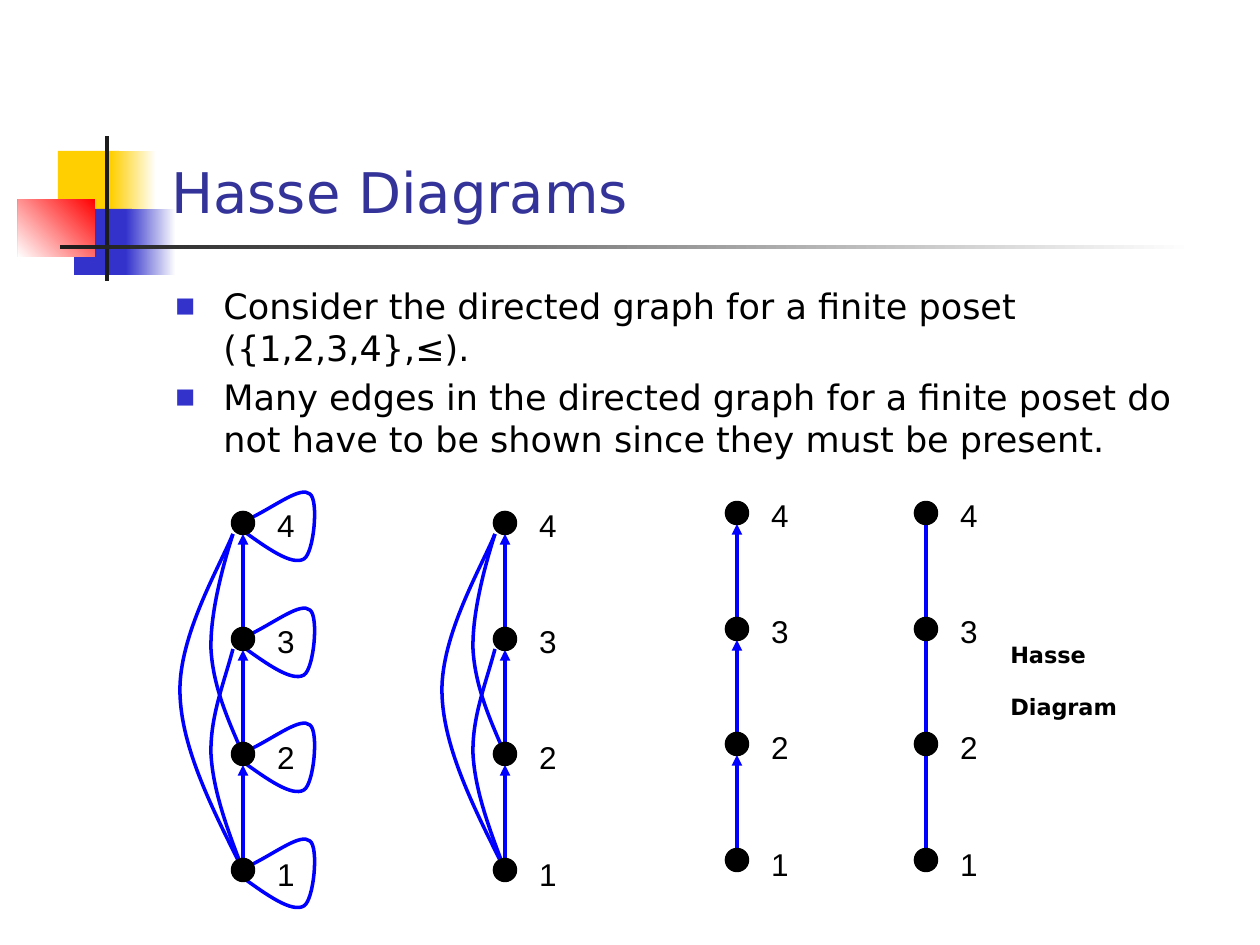
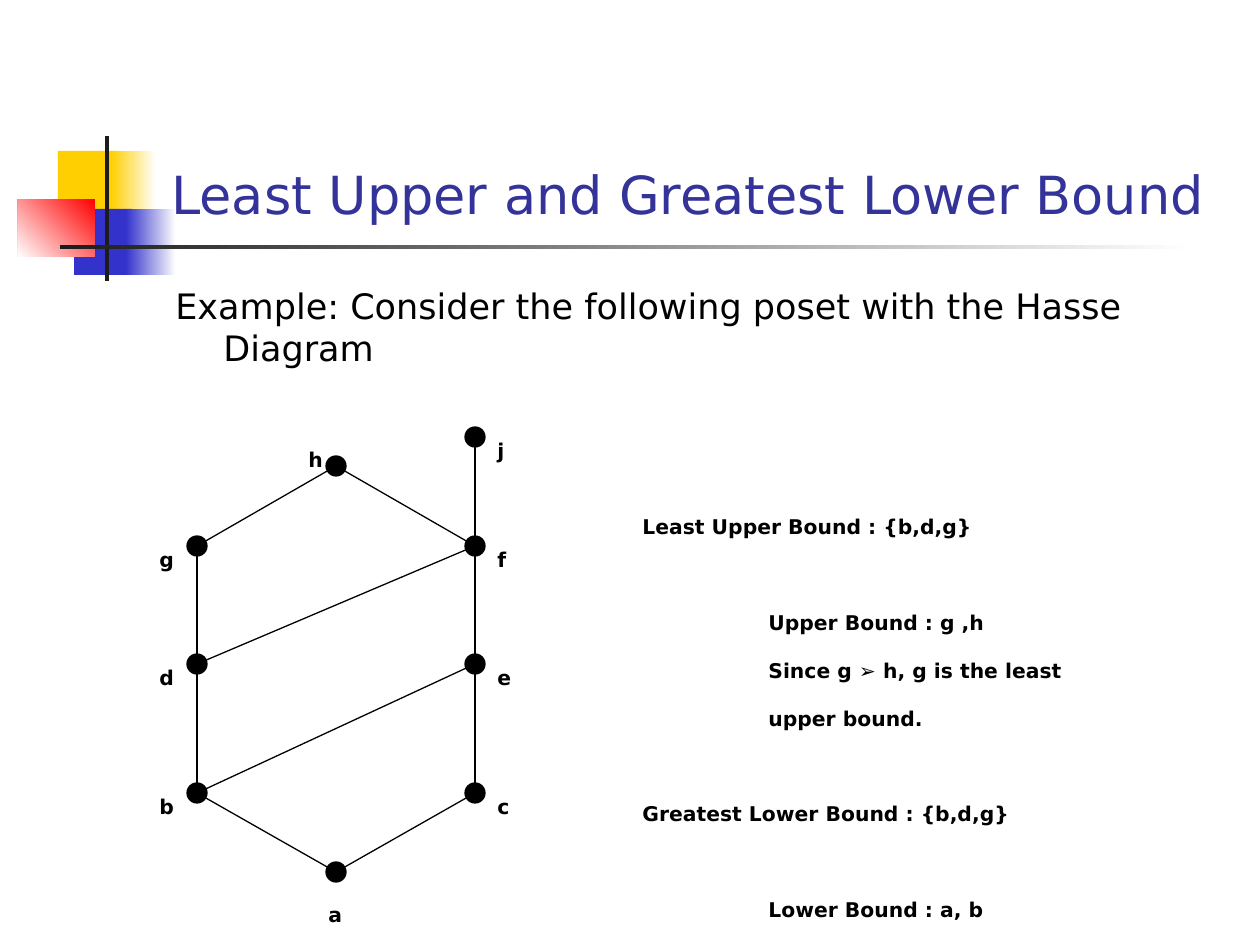
from lxml.etree import SubElement
from pptx import Presentation
from pptx.dml.color import RGBColor
from pptx.enum.shapes import MSO_CONNECTOR, MSO_SHAPE
from pptx.enum.text import MSO_ANCHOR, PP_ALIGN
from pptx.oxml.ns import qn
from pptx.util import Pt

SCALE = 914400 / 126
COLORS = {
    "white": "FFFFFF", "black": "000000", "gold": "FFCF01", "blue": "3333CC",
    "red": "FF0000", "dark": "1C1C1C", "title": "333399", "edge": "0000FF",
}
SANS, ARIAL = "DejaVu Sans", "Arial"
BANDS = [
    ((58, 151, 61, 66), "gold", None),
    ((111, 151, 45, 66), "gold", 0),
    ((74, 209, 58, 66), "blue", None),
    ((126, 209, 50, 66), "blue", 0),
    ((18, 199, 77, 58), "red", 225),
    ((105, 136, 4, 145), "dark", None),
    ((60, 245, 1134, 4), "dark", 0),
]

LEVELS = [523, 639, 754, 870]
LOOP = [(-1, 7), (24, 25), (49, 43), (61, 36), (71, 30), (76, -23),
        (67, -29), (58, -37), (34, -18), (8, -5)]
ARCS = [
    (870, [(0, 0), (-15, -39), (-30, -79), (-32, -116), (-33, -153), (-19, -187), (-10, -221)]),
    (754, [(0, 0), (-15, -34), (-30, -68), (-32, -105), (-33, -142), (-19, -192), (-10, -220)]),
    (870, [(0, 0), (-30, -60), (-62, -122), (-63, -178), (-64, -235), (-23, -304), (-10, -336)]),
]

LEFT, RIGHT = (-50, -28), (10, -28)
POSET = {
    "a": (336, 872, (-20, 1)), "b": (197, 793, LEFT), "c": (475, 793, RIGHT),
    "d": (197, 664, LEFT), "e": (475, 664, RIGHT), "f": (475, 546, RIGHT),
    "g": (197, 546, LEFT), "h": (336, 466, (-40, -48)), "j": (475, 437, RIGHT),
}
EDGES = "gb fc ac gh ba hf fj df be".split()
BOUNDS = [
    ("Least Upper Bound : {b,d,g}", 0, 0),
    ("Upper Bound : g ,h", 126, 27.3),
    ("Since g ➢ h, g is the least", 126, 0),
    ("upper bound.", 126, 0),
    ("Greatest Lower Bound : {b,d,g}", 0, 27.3),
    ("Lower Bound : a, b", 126, 27.3),
]


def px(*nums):
    return [round(n * SCALE) for n in nums]


def rgb(name):
    return RGBColor.from_string(COLORS[name])


class Deck:
    def __init__(self):
        self.file = Presentation()
        self.file.slide_width, self.file.slide_height = px(1260, 945)

    def slide(self, title, size):
        page = self.file.slides.add_slide(self.file.slide_layouts[6])
        self.shapes = page.shapes
        for box, color, angle in BANDS:
            self.band(box, color, angle)
        frame = self.text((159, 29, 1074, 202), [title], size, color="title")
        frame.vertical_anchor = MSO_ANCHOR.BOTTOM

    def band(self, box, color, angle):
        shape = self.shapes.add_shape(MSO_SHAPE.RECTANGLE, *px(*box))
        shape.shadow.inherit = False
        shape.line.fill.background()
        if angle is None:
            shape.fill.solid()
            shape.fill.fore_color.rgb = rgb(color)
            return
        shape.fill.gradient()
        shape.fill.gradient_angle = angle
        for stop, name, place in zip(shape.fill.gradient_stops, (color, "white"), (0, 1)):
            stop.color.rgb = rgb(name)
            stop.position = place

    def text(self, box, lines, size, font=SANS, color="black", low=False):
        frame = self.shapes.add_textbox(*px(*box)).text_frame
        frame.word_wrap = True
        frame.text = "\n".join(lines)
        for par in frame.paragraphs:
            for run in par.runs:
                run.font.size = Pt(size)
                run.font.name = font
                run.font.color.rgb = rgb(color)
                if low:
                    run.font.bold = True
                    run._r.get_or_add_rPr().set("baseline", "-25000")
        return frame

    def body(self, lines, height, mark):
        frame = self.text((163, 278, 1071, height), lines, 20)
        hang, = px(48)
        for i, par in enumerate(frame.paragraphs):
            par.space_before = Pt(4 if i else 0)
            props = par._p.get_or_add_pPr()
            props.set("marL", str(hang))
            props.set("indent", str(-hang))
            if mark:
                tint = SubElement(props, qn("a:buClr"))
                SubElement(tint, qn("a:srgbClr"), val=COLORS["blue"])
                SubElement(props, qn("a:buSzPct"), val="60000")
                SubElement(props, qn("a:buFont"), typeface=SANS)
                SubElement(props, qn("a:buChar"), char="■")

    def dot(self, x, y, size, width):
        half = size / 2
        shape = self.shapes.add_shape(MSO_SHAPE.OVAL, *px(x - half, y - half, size, size))
        shape.shadow.inherit = False
        shape.fill.solid()
        shape.fill.fore_color.rgb = rgb("black")
        self.stroke(shape, "black", width)

    def stroke(self, shape, color, width):
        shape.line.color.rgb = rgb(color)
        shape.line.width = Pt(width)

    def link(self, start, end, color, width, arrow=False):
        line = self.shapes.add_connector(MSO_CONNECTOR.STRAIGHT, *px(*start, *end))
        self.stroke(line, color, width)
        SubElement(line.element.spPr, qn("a:effectLst"))
        if arrow:
            SubElement(line.line._get_or_add_ln(), qn("a:tailEnd"), type="triangle")

    def curve(self, x, y, points):
        spots = [px(x + dx, y + dy) for dx, dy in points]
        maker = self.shapes.build_freeform(*spots[0])
        maker.add_line_segments(spots[1:], close=False)
        shape = maker.convert_to_shape()
        shape.shadow.inherit = False
        shape.fill.background()
        self.stroke(shape, "edge", 2)
        path = next(shape.element.iter(qn("a:path")))
        steps = path.findall(qn("a:lnTo"))
        for i in range(0, len(steps), 3):
            bend = SubElement(path, qn("a:cubicBezTo"))
            for step in steps[i:i + 3]:
                bend.append(step[0])
                path.remove(step)

    def chain(self, x, lift=0, arcs=False, loops=False, arrow=True):
        levels = [y - lift for y in LEVELS]
        frame = self.text((x + 21, levels[0] - 42, 44, 411), "4321", 18, ARIAL)
        for i, par in enumerate(frame.paragraphs):
            par.alignment = PP_ALIGN.CENTER
            par.line_spacing = 1.5
            par.space_before = Pt(34 if i else 0)
        for top, low in zip(levels, levels[1:]):
            self.link((x, low), (x, top + 11), "edge", 2, arrow)
        if arcs:
            for y, points in ARCS:
                self.curve(x, y, points)
        for y in levels:
            if loops:
                self.curve(x, y, LOOP)
            self.dot(x, y, 21, 2)


def main():
    deck = Deck()
    deck.slide("Hasse Diagrams", 32)
    deck.body([
        "Consider the directed graph for a finite poset ({1,2,3,4},≤).",
        "Many edges in the directed graph for a finite poset do not have to be shown "
        "since they must be present.",
    ], 567, True)
    deck.chain(243, arcs=True, loops=True)
    deck.chain(505, arcs=True)
    deck.chain(737, lift=10)
    deck.chain(926, lift=10, arrow=False)
    deck.text((998, 609, 218, 76), ["Hasse", "Diagram"], 22, low=True)

    deck.slide("Least Upper and Greatest Lower Bound", 30)
    deck.body(["Example: Consider the following poset with the Hasse Diagram"], 131, False)
    for start, end in EDGES:
        deck.link(POSET[start][:2], POSET[end][:2], "black", 0.75)
    for name, (x, y, (dx, dy)) in POSET.items():
        deck.dot(x, y, 20, 0.75)
        deck.text((x + dx, y + dy, 42, 40), [name], 20, low=True)
    frame = deck.text((630, 485, 609, 314), [row[0] for row in BOUNDS], 20, low=True)
    for par, (_, inset, gap) in zip(frame.paragraphs, BOUNDS):
        par.space_before = Pt(gap)
        par._p.get_or_add_pPr().set("marL", str(px(inset)[0]))
    deck.file.save("out.pptx")


if __name__ == "__main__":
    main()
